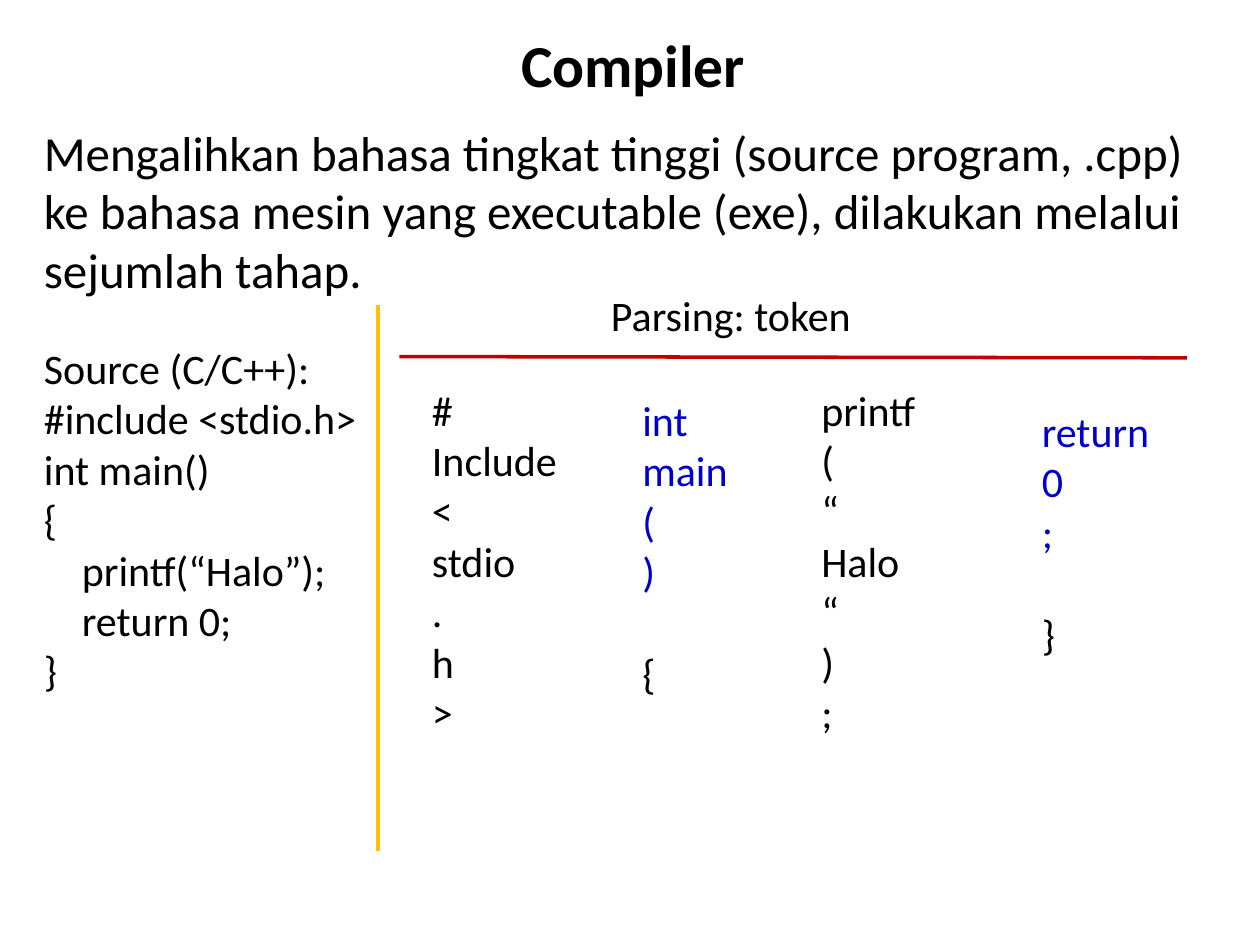
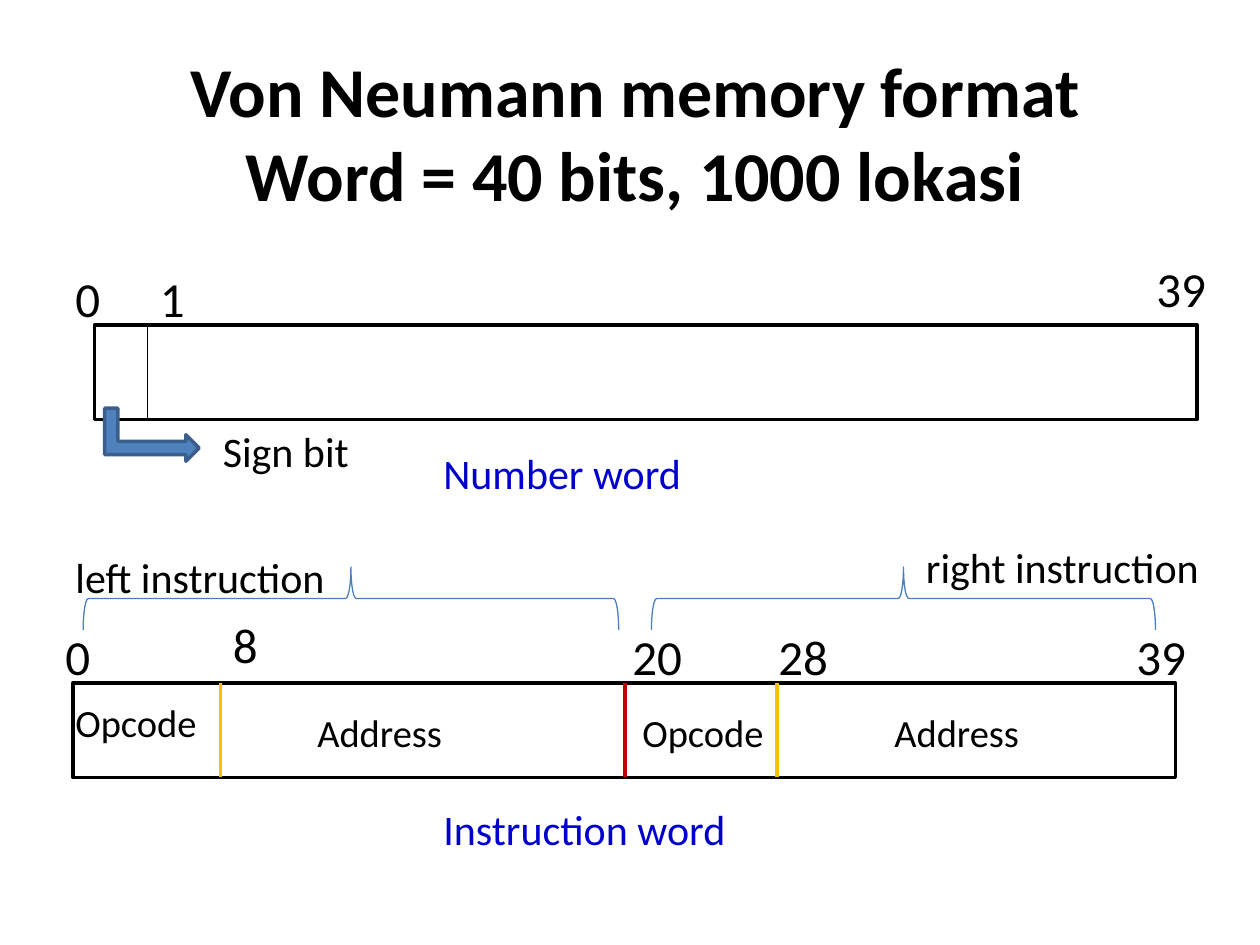
from lxml import etree
from pptx import Presentation
from pptx.dml.color import RGBColor
from pptx.enum.shapes import MSO_CONNECTOR, MSO_SHAPE
from pptx.enum.text import MSO_ANCHOR, MSO_AUTO_SIZE, PP_ALIGN
from pptx.oxml.ns import qn
from pptx.util import Inches, Pt

STRAIGHT = MSO_CONNECTOR.STRAIGHT
RECTANGLE = MSO_SHAPE.RECTANGLE
BENT_ARROW = MSO_SHAPE.BENT_UP_ARROW
BRACE = MSO_SHAPE.LEFT_BRACE
TOP = MSO_ANCHOR.TOP
NO_AUTOFIT = MSO_AUTO_SIZE.NONE
LEFT, CENTER = PP_ALIGN.LEFT, PP_ALIGN.CENTER

FONT = "Calibri"
BLACK, WHITE, BLUE = "000000", "FFFFFF", "0000CC"
RED, AMBER = "C00000", "FFC000"
ARROW_FILL, ARROW_EDGE, BRACE_LINE = "4F81BD", "3A5F8C", "4B7EBC"
TITLE_ONLY = 5
BLANK_LINE = 29.3  # points, one line of 24 pt text


def rgb(value):
    return RGBColor.from_string(value)


def inches(*values):
    return [Inches(value) for value in values]


def fill_text(frame, text, size=24, color=BLACK, bold=False, align=LEFT):
    frame.word_wrap = True
    frame.auto_size = NO_AUTOFIT
    frame.vertical_anchor = TOP
    frame.text = text
    for paragraph in frame.paragraphs:
        paragraph.alignment = align
        font = paragraph.font
        font.name, font.size, font.bold = FONT, Pt(size), bold
        font.color.rgb = rgb(color)


def add_text(slide, box, text, **text_format):
    frame = slide.shapes.add_textbox(*inches(*box)).text_frame
    fill_text(frame, text, **text_format)
    return frame


def add_title_slide(deck, box, text, size):
    slide = deck.slides.add_slide(deck.slide_layouts[TITLE_ONLY])
    title = slide.shapes.title
    title.left, title.top, title.width, title.height = inches(*box)
    fill_text(title.text_frame, text, size=size, bold=True, align=CENTER)
    return slide


def add_line(slide, start, end, color, width=2.25):
    line = slide.shapes.add_connector(STRAIGHT, *inches(*start, *end))
    line.line.color.rgb = rgb(color)
    line.line.width = Pt(width)
    etree.SubElement(line._element.spPr, qn("a:effectLst"))


def add_preset(slide, kind, box, line, width=2, fill=None):
    shape = slide.shapes.add_shape(kind, *inches(*box))
    shape.shadow.inherit = False
    if fill:
        shape.fill.solid()
        shape.fill.fore_color.rgb = rgb(fill)
    else:
        shape.fill.background()
    shape.line.color.rgb = rgb(line)
    shape.line.width = Pt(width)
    return shape


def add_quarter_turned(slide, kind, box, *style, **options):
    """Add a preset turned by 90 degrees that covers the given box."""
    left, top, width, height = box
    shift = (width - height) / 2
    upright = (left + shift, top - shift, height, width)
    add_preset(slide, kind, upright, *style, **options).rotation = 90


def add_source_code(slide, box):
    add_text(slide, box, "Source (C/C++):\n#include <stdio.h>\nint main()\n{\n"
                         "    printf(“Halo”);\n    return 0;\n}")


def add_token_column(slide, box, tokens, color=BLACK, brace=None):
    """List one token per line, with a black brace set apart at the end."""
    lines = tokens + [brace] if brace else tokens
    frame = add_text(slide, box, "\n".join(lines), color=color)
    if brace:
        last = frame.paragraphs[-1]
        last.space_before = Pt(BLANK_LINE)
        last.font.color.rgb = rgb(BLACK)


def add_token_table(slide, box):
    left, top, width, height = box
    add_text(slide, (left + 1.58, top, 2.58, 0.5), "Parsing: token")
    add_line(slide, (left, top + 0.58), (left + width, top + 0.59), RED, 2)
    columns = [
        (0.16, 0.75, ["#", "Include", "<", "stdio", ".", "h", ">"], BLACK, None),
        (1.83, 0.83, ["int", "main", "(", ")"], BLUE, "{"),
        (3.25, 0.75, ["printf", "(", "“", "Halo", "“", ")", ";"], BLACK, None),
        (5.0, 0.92, ["return", "0", ";"], BLUE, "}"),
    ]
    for dx, dy, tokens, color, brace in columns:
        column = (left + dx, top + dy, 1.33, height - dy)
        add_token_column(slide, column, tokens, color, brace)


def add_memory_word(slide, box, bits, dividers):
    """Draw a word as a bar with bit numbers above it and field dividers."""
    left, top, width, height = box
    add_preset(slide, RECTANGLE, box, BLACK, fill=WHITE)
    for dx, color, weight in dividers:
        x = left + dx
        add_line(slide, (x, top), (x, top + height), color, weight)
    for bit, dx, rise in bits:
        add_text(slide, (left + dx, top - rise, 0.67, 0.57), bit, size=28)


def add_number_word(slide, box):
    left, top = box[:2]
    add_memory_word(slide, box,
                    [("0", -0.25, 0.5), ("1", 0.42, 0.5), ("39", 8.33, 0.58)],
                    [(0.42, BLACK, 1)])
    add_quarter_turned(slide, BENT_ARROW, (left + 0.08, top + 0.66, 0.75, 0.42),
                       ARROW_EDGE, fill=ARROW_FILL)
    add_text(slide, (left + 0.92, top + 0.75, 1.33, 0.5), "Sign bit")
    add_text(slide, (left + 2.67, top + 0.92, 2.42, 0.5), "Number word",
             color=BLUE)


def add_instruction_word(slide, box):
    left, top = box[:2]
    add_memory_word(slide, box,
                    [("0", -0.16, 0.5), ("8", 1.17, 0.59), ("20", 4.34, 0.5),
                     ("28", 5.5, 0.5), ("39", 8.34, 0.5)],
                    [(1.17, AMBER, 2.25), (4.38, RED, 2.25),
                     (5.59, AMBER, 2.25)])
    for dx, width in [(0.08, 4.25), (4.59, 4)]:
        add_quarter_turned(slide, BRACE, (left + dx, top - 0.92, width, 0.5),
                           BRACE_LINE, 0.75)
    for side, dx, rise in [("left", -0.08, 1.09), ("right", 6.67, 1.17)]:
        add_text(slide, (left + dx, top - rise, 2.58, 0.5),
                 f"{side} instruction")
    for field, dx, dy in [("Opcode", -0.08, 0.08), ("Address", 1.84, 0.16),
                          ("Opcode", 4.42, 0.16), ("Address", 6.42, 0.16)]:
        add_text(slide, (left + dx, top + dy, 1.25, 0.47), field, size=22)
    add_text(slide, (left + 2.84, top + 0.91, 2.58, 0.5), "Instruction word",
             color=BLUE)


def build_compiler_slide(deck):
    slide = add_title_slide(deck, (0.61, 0.17, 8.83, 0.67), "Compiler", 34)
    add_text(slide, (0.25, 0.92, 9.33, 1.51),
             "Mengalihkan bahasa tingkat tinggi (source program, .cpp) ke "
             "bahasa mesin yang executable (exe), dilakukan melalui sejumlah "
             "tahap.", size=28)
    add_source_code(slide, (0.25, 2.67, 2.75, 2.93))
    add_token_table(slide, (3.17, 2.25, 6.25, 3.68))
    add_line(slide, (3, 2.42), (3, 6.75), AMBER)


def build_memory_slide(deck):
    slide = add_title_slide(
        deck, (0.58, 0.33, 8.92, 1.45),
        "Von Neumann memory format\nWord = 40 bits, 1000 lokasi", 40)
    add_number_word(slide, (0.75, 2.58, 8.75, 0.75))
    add_instruction_word(slide, (0.58, 5.42, 8.75, 0.75))


def main():
    deck = Presentation()
    deck.slide_width, deck.slide_height = inches(10, 7.5)
    build_compiler_slide(deck)
    build_memory_slide(deck)
    deck.save("out.pptx")


if __name__ == "__main__":
    main()
